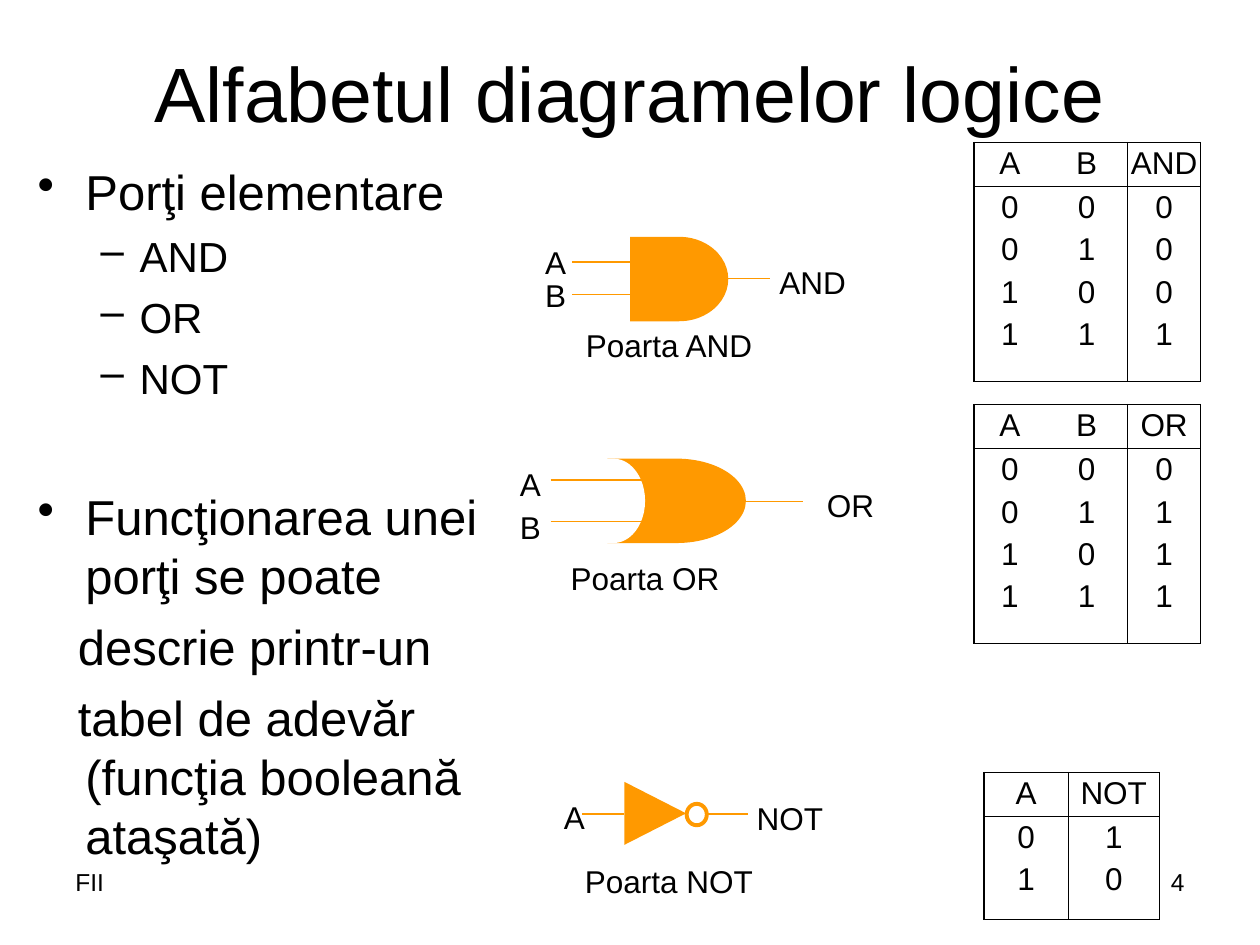
from lxml import etree
from pptx import Presentation
from pptx.dml.color import RGBColor
from pptx.enum.shapes import MSO_CONNECTOR, MSO_SHAPE
from pptx.enum.text import MSO_ANCHOR, PP_ALIGN
from pptx.oxml.ns import qn
from pptx.util import Inches, Pt

DELAY = MSO_SHAPE.FLOWCHART_DELAY
MERGE = MSO_SHAPE.FLOWCHART_MERGE
CIRCLE = MSO_SHAPE.FLOWCHART_CONNECTOR
STRAIGHT = MSO_CONNECTOR.STRAIGHT
LEFT, CENTER, RIGHT = PP_ALIGN.LEFT, PP_ALIGN.CENTER, PP_ALIGN.RIGHT
TOP, MIDDLE = MSO_ANCHOR.TOP, MSO_ANCHOR.MIDDLE

COLORS = {"ink": "000000", "paper": "FFFFFF", "gate": "FF9900"}
FONT = "Arial"
THIN = 0.75

TITLE = "Alfabetul diagramelor logice"

STYLES = {
    "point": {"size": 28, "margin": 0.38, "indent": -0.38, "before": 7, "bullet": "•"},
    "gate": {"size": 24, "margin": 0.81, "indent": -0.31, "before": 6, "bullet": "–"},
    "new block": {"size": 28, "margin": 0.38, "indent": -0.38, "before": 48, "bullet": "•"},
    "continued": {"size": 28, "margin": 0.38, "indent": -0.06, "before": 7, "bullet": None},
}
BODY = [
    ("point", "Porţi elementare"),
    ("gate", "AND"),
    ("gate", "OR"),
    ("gate", "NOT"),
    ("new block", "Funcţionarea unei porţi se poate"),
    ("continued", "descrie printr-un"),
    ("continued", "tabel de adevăr (funcţia booleană ataşată)"),
]

GATES = [
    {
        "shapes": [(DELAY, 5, 1.88, 0.78, 0.67, 0, "gate", None)],
        "wires": [(4.54, 5.06, 2.08), (4.54, 5.06, 2.34), (5.78, 6.11, 2.21)],
        "labels": [("A", 4.41, 2.08), ("B", 4.41, 2.34), ("AND", 6.45, 2.24),
                   ("Poarta AND", 5.31, 2.74)],
    },
    {
        "shapes": [(DELAY, 4.82, 3.64, 1.1, 0.67, 0, "gate", None),
                   (DELAY, 4.62, 3.64, 0.5, 0.67, 0, "paper", None)],
        "wires": [(4.37, 5.1, 3.81), (4.37, 5.1, 4.14), (5.91, 6.37, 3.98)],
        "labels": [("A", 4.21, 3.84), ("B", 4.21, 4.18), ("OR", 6.75, 4.01),
                   ("Poarta OR", 5.12, 4.59)],
    },
    {
        "shapes": [(MERGE, 4.95, 6.21, 0.5, 0.49, 270, "gate", None),
                   (CIRCLE, 5.45, 6.38, 0.16, 0.17, 0, None, "gate")],
        "wires": [(4.62, 4.95, 6.46), (5.61, 5.94, 6.46)],
        "labels": [("A", 4.56, 6.48), ("NOT", 6.27, 6.49), ("Poarta NOT", 5.31, 6.99)],
    },
]
LABEL_WIDTH, LABEL_HEIGHT = 2.2, 0.4

TRUTH_TABLES = [
    {"left": 7.73, "top": 1.13, "height": 1.9, "columns": [0.57, 0.65, 0.58],
     "rows": ["A B AND", "0 0 0", "0 1 0", "1 0 0", "1 1 1"]},
    {"left": 7.73, "top": 3.21, "height": 1.9, "columns": [0.57, 0.65, 0.58],
     "rows": ["A B OR", "0 0 0", "0 1 1", "1 0 1", "1 1 1"]},
    {"left": 7.81, "top": 6.13, "height": 1.17, "columns": [0.67, 0.72],
     "rows": ["A NOT", "0 1", "1 0"]},
]
HEADER_HEIGHT, ROW_HEIGHT = 0.35, 0.335

FOOTERS = [("FII", 0.5, LEFT), ("4", 7.17, RIGHT)]


def color(name):
    return RGBColor.from_string(COLORS[name])


def format_paragraph(paragraph, size, alignment):
    paragraph.alignment = alignment
    paragraph.font.size = Pt(size)
    paragraph.font.name = FONT
    paragraph.font.color.rgb = color("ink")


def add_text(slide, text, box, size, alignment, anchor=TOP):
    frame = slide.shapes.add_textbox(*map(Inches, box)).text_frame
    frame.word_wrap = True
    frame.vertical_anchor = anchor
    frame.text = text
    format_paragraph(frame.paragraphs[0], size, alignment)
    return frame


def add_title(slide):
    title = slide.shapes.title
    title.left, title.top, title.width, title.height = map(Inches, (0.5, 0.3, 9, 0.85))
    title.text_frame.text = TITLE
    title.text_frame.vertical_anchor = MIDDLE
    format_paragraph(title.text_frame.paragraphs[0], 44, CENTER)


def add_body(slide):
    frame = slide.shapes.add_textbox(*map(Inches, (0.2, 1.23, 3.86, 5.83))).text_frame
    frame.word_wrap = True
    for index, (style_name, text) in enumerate(BODY):
        style = STYLES[style_name]
        paragraph = frame.add_paragraph() if index else frame.paragraphs[0]
        paragraph.text = text
        format_paragraph(paragraph, style["size"], LEFT)
        paragraph.space_before = Pt(style["before"])
        properties = paragraph._p.get_or_add_pPr()
        properties.set("marL", str(Inches(style["margin"])))
        properties.set("indent", str(Inches(style["indent"])))
        if style["bullet"]:
            bullet = etree.Element(qn("a:buChar"), char=style["bullet"])
            properties.find(qn("a:defRPr")).addprevious(bullet)


def add_gate_shape(slide, kind, left, top, width, height, rotation, fill, line):
    shape = slide.shapes.add_shape(kind, *map(Inches, (left, top, width, height)))
    shape.shadow.inherit = False
    shape.rotation = rotation
    if fill:
        shape.fill.solid()
        shape.fill.fore_color.rgb = color(fill)
    else:
        shape.fill.background()
    if line:
        shape.line.color.rgb = color(line)
        shape.line.width = Pt(2.25)
    else:
        shape.line.fill.background()


def add_wire(slide, start, end, height):
    wire = slide.shapes.add_connector(STRAIGHT, *map(Inches, (start, height, end, height)))
    wire.line.color.rgb = color("gate")
    wire.line.width = Pt(THIN)
    etree.SubElement(wire._element.spPr, qn("a:effectLst"))


def add_gate(slide, gate):
    for shape in gate["shapes"]:
        add_gate_shape(slide, *shape)
    for wire in gate["wires"]:
        add_wire(slide, *wire)
    for text, center, middle in gate["labels"]:
        box = (center - LABEL_WIDTH / 2, middle - LABEL_HEIGHT / 2, LABEL_WIDTH, LABEL_HEIGHT)
        add_text(slide, text, box, 18, CENTER, MIDDLE)


def set_borders(cell, drawn_sides):
    properties = cell._tc.get_or_add_tcPr()
    for side in "LRTB":
        border = etree.SubElement(properties, qn(f"a:ln{side}"), w=str(Pt(THIN)))
        if side in drawn_sides:
            fill = etree.SubElement(border, qn("a:solidFill"))
            etree.SubElement(fill, qn("a:srgbClr"), val=COLORS["ink"])
        else:
            etree.SubElement(border, qn("a:noFill"))


def add_truth_table(slide, spec_table):
    rows = [row.split() for row in spec_table["rows"]]
    widths = spec_table["columns"]
    last_row, last_column = len(rows) - 1, len(widths) - 1
    box = (spec_table["left"], spec_table["top"], sum(widths), spec_table["height"])
    table = slide.shapes.add_table(len(rows), len(widths), *map(Inches, box)).table
    table.first_row = table.horz_banding = False
    heights = [HEADER_HEIGHT] + [ROW_HEIGHT] * (last_row - 1)
    heights.append(spec_table["height"] - sum(heights))
    for column, width in zip(table.columns, widths):
        column.width = Inches(width)
    for row_index, values in enumerate(rows):
        table.rows[row_index].height = Inches(heights[row_index])
        for column_index, value in enumerate(values):
            cell = table.cell(row_index, column_index)
            cell.margin_left = cell.margin_right = cell.margin_bottom = 0
            cell.margin_top = Inches(0.03)
            cell.text = value
            format_paragraph(cell.text_frame.paragraphs[0], 18, CENTER)
            sides = {
                "L": column_index in (0, last_column),
                "R": column_index in (last_column - 1, last_column),
                "T": row_index in (0, 1),
                "B": row_index in (0, last_row),
            }
            set_borders(cell, [side for side, drawn in sides.items() if drawn])
            cell.fill.solid()
            cell.fill.fore_color.rgb = color("paper")


def main():
    presentation = Presentation()
    presentation.slide_width, presentation.slide_height = Inches(10), Inches(7.5)
    slide = presentation.slides.add_slide(presentation.slide_layouts[5])
    add_title(slide)
    add_body(slide)
    for gate in GATES:
        add_gate(slide, gate)
    for truth_table in TRUTH_TABLES:
        add_truth_table(slide, truth_table)
    for text, left, alignment in FOOTERS:
        add_text(slide, text, (left, 6.83, 2.33, 0.52), 14, alignment)
    presentation.save("out.pptx")


if __name__ == "__main__":
    main()
